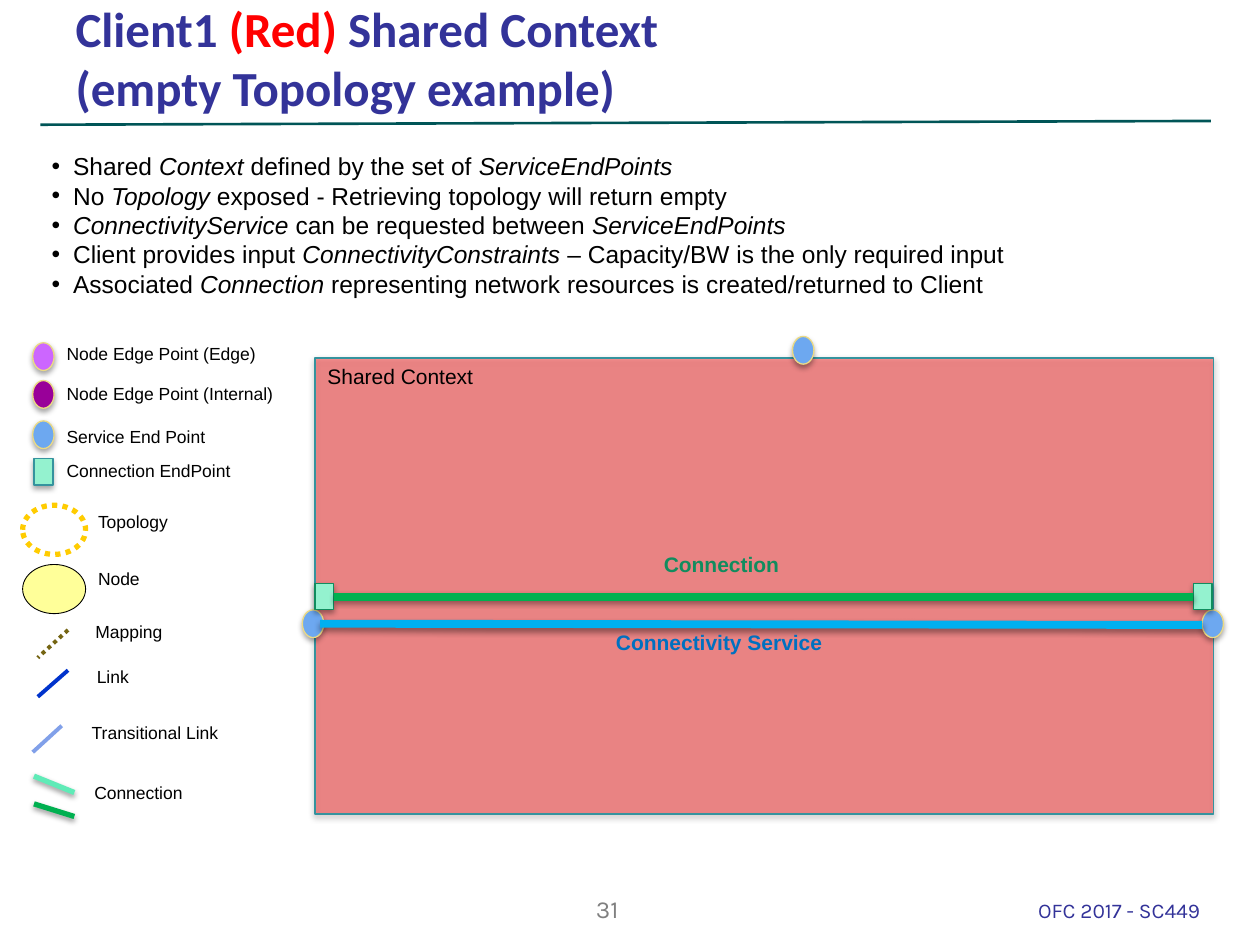
import pptx
import pptx.util
import pptx.dml.color
import pptx.enum.dml
import pptx.enum.shapes
import pptx.enum.text
import pptx.oxml
import pptx.oxml.ns
from lxml import etree

PX = 9144
COLORS = {
    "navy": "333399", "red": "FF0000", "black": "000000", "gray": "808080",
    "rule": "005557", "teal": "35939E", "service": "6DA8F0", "sand": "EBDA84",
    "mint": "94F2CF", "green": "118C5E", "connection": "00B050",
    "sky": "00B0F0", "blue": "0070C0", "edge": "CC66FF", "internal": "990099",
    "link": "0033CC", "transitional": "81A0E9", "mapping": "756513",
    "topology": "FFCC00", "node": "FFFF99", "aqua": "5FEBB7",
}
OVAL = pptx.enum.shapes.MSO_SHAPE.OVAL
RECTANGLE = pptx.enum.shapes.MSO_SHAPE.RECTANGLE
DOTTED = pptx.enum.dml.MSO_LINE.ROUND_DOT
POINT_SIZE = (17, 22)
ENDPOINT_SIZE = (15, 21)
NODE_SIZE = (50, 39)

BULLETS = [
    [("Shared ", False), ("Context", True), (" defined by the set of ", False),
     ("ServiceEndPoints", True)],
    [("No ", False), ("Topology", True),
     (" exposed - Retrieving topology will return empty", False)],
    [("ConnectivityService", True), (" can be requested between ", False),
     ("ServiceEndPoints", True)],
    [("Client provides input ", False), ("ConnectivityConstraints", True),
     (" – Capacity/BW is the only required input", False)],
    [("Associated ", False), ("Connection", True),
     (" representing network resources is created/returned to Client", False)],
]
LEGEND_LABELS = [
    ("Node Edge Point (Edge)", 43, 267), ("Node Edge Point (Internal)", 43, 299),
    ("Service End Point", 43, 333), ("Connection EndPoint", 43, 360),
    ("Topology", 68, 401), ("Node", 68, 446), ("Mapping", 66, 488),
    ("Link", 67, 524), ("Transitional Link", 63, 568), ("Connection", 65, 616),
]
LEGEND_POINTS = [("edge", 272), ("internal", 302), ("service", 334)]
LEGEND_LINES = [
    ((54, 500), (30, 522), "mapping", 2.25, DOTTED, False),
    ((54, 532), (30, 553), "link", 2.25, None, False),
    ((49, 576), (26, 597), "transitional", 2.25, None, False),
    ((27, 616), (59, 629), "aqua", 3, None, True),
    ((27, 638), (59, 648), "connection", 3, None, True),
]


def px(*lengths):
    return [length * PX for length in lengths]


def rgb(color):
    return pptx.dml.color.RGBColor.from_string(COLORS[color])


def set_effects(item, shadow, alpha=35, distance=1.8):
    effects = etree.SubElement(item._element.spPr, pptx.oxml.ns.qn("a:effectLst"))
    if shadow:
        effects.append(pptx.oxml.parse_xml(
            f'<a:outerShdw {pptx.oxml.ns.nsdecls("a")} blurRad="39370" '
            f'dist="{round(distance * 12700)}" dir="5400000" rotWithShape="0">'
            f'<a:srgbClr val="{COLORS["black"]}"><a:alpha val="{alpha * 1000}"/>'
            '</a:srgbClr></a:outerShdw>'))


def set_line(line, color, width, dash=None):
    line.color.rgb = rgb(color)
    line.width = pptx.util.Pt(width)
    if dash:
        line.dash_style = dash


def add_figure(shapes, kind, position, size, fill, outline, width=0.75,
               dash=None, opacity=None, shadow=True):
    figure = shapes.add_shape(kind, *px(*position, *size))
    if fill:
        figure.fill.solid()
        figure.fill.fore_color.rgb = rgb(fill)
    else:
        figure.fill.background()
    if opacity:
        tint = figure._element.spPr.find(".//" + pptx.oxml.ns.qn("a:srgbClr"))
        etree.SubElement(tint, pptx.oxml.ns.qn("a:alpha"), val=str(opacity * 1000))
    set_line(figure.line, outline, width, dash)
    set_effects(figure, shadow)
    return figure


def add_line(shapes, start, end, color, width, dash=None, shadow=False):
    line = shapes.add_connector(
        pptx.enum.shapes.MSO_CONNECTOR.STRAIGHT, *px(*start, *end))
    set_line(line.line, color, width, dash)
    set_effects(line, shadow, 38, 1.6)
    return line


def add_run(paragraph, text, size, color, font="Arial", bold=False, italic=False):
    run = paragraph.add_run()
    run.text = text
    run.font.name = font
    run.font.size = pptx.util.Pt(size)
    run.font.bold = bold
    run.font.italic = italic
    run.font.color.rgb = rgb(color)


def add_label(shapes, text, box, size, color="black", font="Arial", bold=False,
              wrap=True, centered=False):
    frame = shapes.add_textbox(*px(*box)).text_frame
    frame.word_wrap = wrap
    paragraph = frame.paragraphs[0]
    if centered:
        paragraph.alignment = pptx.enum.text.PP_ALIGN.CENTER
    add_run(paragraph, text, size, color, font, bold)


def place(holder, box, anchor):
    holder.left, holder.top, holder.width, holder.height = px(*box)
    frame = holder.text_frame
    frame.word_wrap = True
    frame.auto_size = pptx.enum.text.MSO_AUTO_SIZE.NONE
    frame.vertical_anchor = anchor
    return frame


def fill_title(title):
    frame = place(title, (50, 42, 909, 55), pptx.enum.text.MSO_ANCHOR.BOTTOM)
    heading = frame.paragraphs[0]
    heading.alignment = pptx.enum.text.PP_ALIGN.LEFT
    for text, color in [("Client1 ", "navy"), ("(Red) ", "red"),
                        ("Shared Context", "navy")]:
        add_run(heading, text, 28, color, "Calibri", True)
    heading.add_line_break()
    add_run(heading, "(empty Topology example)", 28, "navy", "Calibri", True)


def fill_bullets(body):
    frame = place(body, (31, 115, 921, 128), pptx.enum.text.MSO_ANCHOR.TOP)
    for index, parts in enumerate(BULLETS):
        bullet = frame.add_paragraph() if index else frame.paragraphs[0]
        properties = bullet._p.get_or_add_pPr()
        properties.set("marL", str(17 * PX))
        properties.set("indent", str(-17 * PX))
        etree.SubElement(properties, pptx.oxml.ns.qn("a:buChar"), char="•")
        bullet.space_before = pptx.util.Pt(0)
        bullet.line_spacing = pptx.util.Pt(16.8)
        for text, italic in parts:
            add_run(bullet, text, 14, "black", italic=italic)


def add_context(shapes):
    add_figure(shapes, RECTANGLE, (250, 284), (713, 362), "red", "teal", opacity=40)
    for position in [(240, 484), (954, 484), (629, 267)]:
        add_figure(shapes, OVAL, position, POINT_SIZE, "service", "sand")
    near, far = [add_figure(shapes, RECTANGLE, (left, 463), ENDPOINT_SIZE, "mint", "green")
                 for left in (250, 947)]
    connection = add_line(shapes, (265, 474), (947, 474), "connection", 4.5, shadow=True)
    connection.begin_connect(near, 3)
    connection.end_connect(far, 1)
    add_line(shapes, (254, 495), (954, 496), "sky", 4.5, shadow=True)
    add_label(shapes, "Connection", (517, 433, 113, 30), 12, "green",
              bold=True, wrap=False)
    add_label(shapes, "Connectivity Service", (479, 495, 186, 30), 12, "blue",
              bold=True, wrap=False)
    add_label(shapes, "Shared Context", (250, 284, 138, 30), 12)


def add_legend(shapes):
    for color, top in LEGEND_POINTS:
        add_figure(shapes, OVAL, (26, top), POINT_SIZE, color, "sand")
    add_figure(shapes, RECTANGLE, (27, 364), ENDPOINT_SIZE, "mint", "teal")
    add_figure(shapes, OVAL, (18, 401), NODE_SIZE, None, "topology", 3, DOTTED,
               shadow=False)
    add_figure(shapes, OVAL, (18, 448), NODE_SIZE, "node", "black", 0.5, shadow=False)
    for line in LEGEND_LINES:
        add_line(shapes, *line)
    for text, left, top in LEGEND_LABELS:
        add_label(shapes, text, (left, top, 187, 27), 10)


def main():
    deck = pptx.Presentation()
    deck.slide_width, deck.slide_height = px(1000, 750)
    slide = deck.slides.add_slide(deck.slide_layouts[1])
    shapes = slide.shapes
    add_line(shapes, (32, 99), (961, 96), "rule", 1.5)
    fill_title(shapes.title)
    fill_bullets(slide.placeholders[1])
    add_context(shapes)
    add_legend(shapes.add_group_shape().shapes)
    add_label(shapes, "31", (434, 705, 96, 40), 14, "gray", "Karla", centered=True)
    add_label(shapes, "OFC 2017 - SC449", (814, 707, 180, 28), 12, "navy", "Karla")
    deck.save("out.pptx")


if __name__ == "__main__":
    main()
